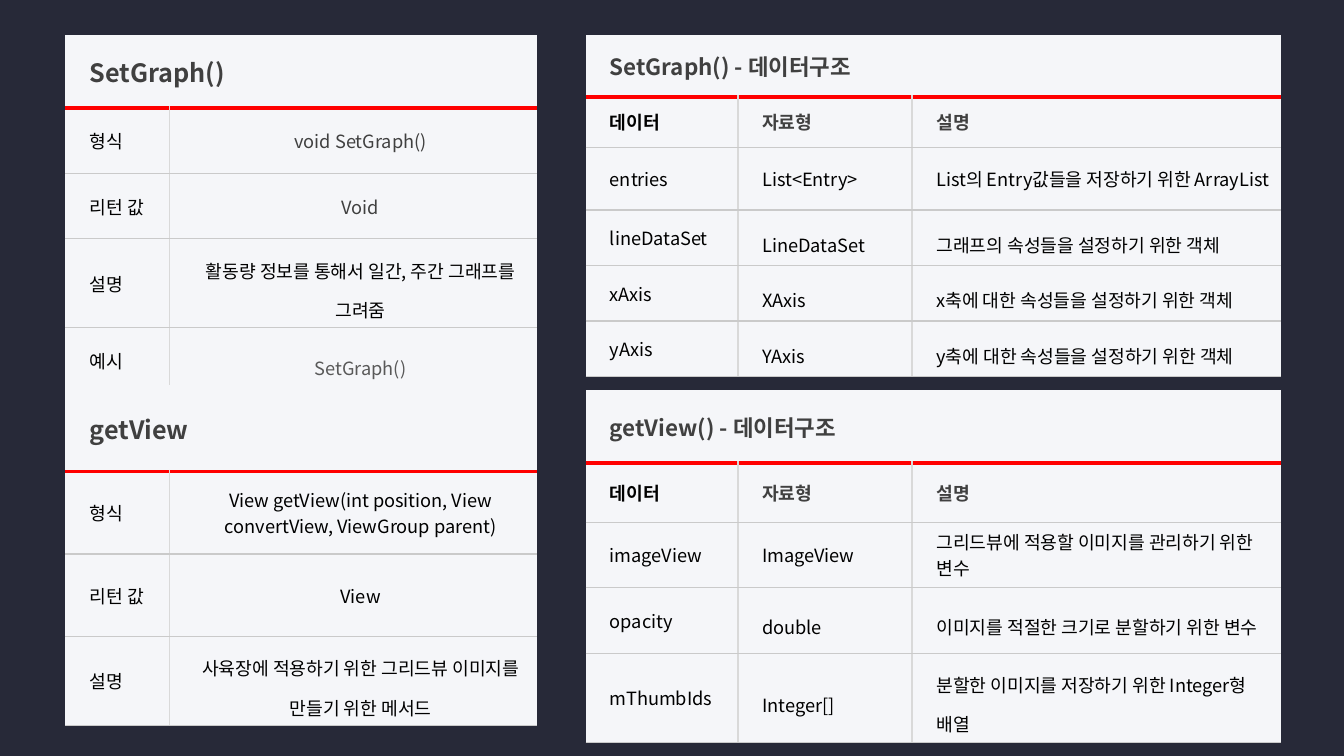
from pptx import Presentation
from pptx.dml.color import RGBColor
from pptx.enum.text import MSO_ANCHOR, PP_ALIGN
from pptx.oxml.ns import qn
from pptx.util import Cm, Pt
from lxml.etree import SubElement

FONT = "Noto Sans CJK KR"
NAVY, PAPER, RED = "272938", "F5F6F9", "FF0000"
BLACK, DARK, GREY = "000000", "404040", "595959"
ROW_LINE, COLUMN_LINE, HEADER_LINE = ("CACACA", 1), ("D9D9D9", 1.5), (RED, 3)


def color(value):
    return RGBColor.from_string(value)


def add_border(cell, side, line):
    properties = cell._tc.get_or_add_tcPr()
    border = SubElement(properties, qn(f"a:ln{side}"))
    if line is None:
        border.set("w", "0")
        SubElement(border, qn("a:noFill"))
        return
    value, width = line
    border.set("w", str(Pt(width)))
    fill = SubElement(border, qn("a:solidFill"))
    SubElement(fill, qn("a:srgbClr")).set("val", value)


# Contents: position, column widths, row heights, title size, rows,
# and the first row whose description is set at 1.5 lines
method_columns = [2.62, 9.27]
data_columns = [3.84, 4.39, 9.3]
data_heading = ["데이터", "자료형", "설명"]
tables = [
    (1.65, 0.89, method_columns, [1.83] + [1.65] * 4, 18, [
        ["SetGraph()"],
        ["형식", "void SetGraph()"],
        ["리턴 값", "Void"],
        ["설명", "활동량 정보를 통해서 일간, 주간 그래프를 그려줌"],
        ["예시", "SetGraph()"],
    ], 3),
    (14.76, 0.89, data_columns, [1.55, 1.27] + [1.4] * 4, 16, [
        ["SetGraph() - 데이터구조"],
        data_heading,
        ["entries", "List<Entry>", "List의 Entry값들을 저장하기 위한 ArrayList"],
        ["lineDataSet", "LineDataSet", "그래프의 속성들을 설정하기 위한 객체"],
        ["xAxis", "XAxis", "x축에 대한 속성들을 설정하기 위한 객체"],
        ["yAxis", "YAxis", "y축에 대한 속성들을 설정하기 위한 객체"],
    ], 3),
    (1.65, 9.7, method_columns, [2.18] + [2.08] * 3, 18, [
        ["getView"],
        ["형식", "View getView(int position, View convertView, ViewGroup parent)"],
        ["리턴 값", "View"],
        ["설명", "사육장에 적용하기 위한 그리드뷰 이미지를\n만들기 위한 메서드"],
    ], 3),
    (14.76, 9.83, data_columns, [1.83, 1.5] + [1.65] * 3, 16, [
        ["getView() - 데이터구조"],
        data_heading,
        ["imageView", "ImageView", "그리드뷰에 적용할 이미지를 관리하기 위한 변수"],
        ["opacity", "double", "이미지를 적절한 크기로 분할하기 위한 변수"],
        ["mThumbIds", "Integer[]", "분할한 이미지를 저장하기 위한 Integer형 배열"],
    ], 3),
]
text_colors = {"void SetGraph()": DARK, "Void": DARK, "SetGraph()": GREY,
               "자료형": DARK}

# Page
deck = Presentation()
deck.slide_width, deck.slide_height = Cm(33.87), Cm(19.05)
page = deck.slides.add_slide(deck.slide_layouts[6])
page.background.fill.solid()
page.background.fill.fore_color.rgb = color(NAVY)

# Tables
for left, top, widths, heights, title_size, rows, loose_from in tables:
    table = page.shapes.add_table(
        len(rows), len(widths), Cm(left), Cm(top),
        Cm(sum(widths)), Cm(sum(heights))).table
    table.first_row = table.horz_banding = False
    for column, width in zip(table.columns, widths):
        column.width = Cm(width)
    for row, height in zip(table.rows, heights):
        row.height = Cm(height)
    table.cell(0, 0).merge(table.cell(0, len(widths) - 1))
    is_method = widths is method_columns

    for r, texts in enumerate(rows):
        is_title = r == 0
        is_heading = texts is data_heading
        for c in range(len(widths)):
            cell = table.cell(r, c)

            # Borders and fill
            inner_left = c > 0 and not is_title
            inner_right = c < len(widths) - 1 and not is_title
            add_border(cell, "L", COLUMN_LINE if inner_left else None)
            add_border(cell, "R", COLUMN_LINE if inner_right else None)
            above = HEADER_LINE if r == 1 else ROW_LINE
            add_border(cell, "T", None if is_title else above)
            add_border(cell, "B", HEADER_LINE if is_title else ROW_LINE)
            cell.fill.solid()
            cell.fill.fore_color.rgb = color(PAPER)
            cell.vertical_anchor = MSO_ANCHOR.MIDDLE
            cell.margin_left, cell.margin_right = Cm(0.61), Cm(0.25)
            cell.margin_top = cell.margin_bottom = Cm(0.13)
            if c >= len(texts):
                continue

            # Text
            cell.text_frame.text = texts[c]
            for para in cell.text_frame.paragraphs:
                if c > 0 and is_method:
                    para.alignment = PP_ALIGN.CENTER
                if c > 0 and r >= loose_from:
                    para.line_spacing = 1.5
                font = para.font
                font.name = FONT
                font.size = Pt(title_size if is_title else 13)
                font.bold = is_title or is_heading
                ink = text_colors.get(texts[c], BLACK)
                if is_title or (is_heading and c > 0):
                    ink = DARK
                font.color.rgb = color(ink)
                SubElement(font._element, qn("a:ea")).set("typeface", FONT)

deck.save("out.pptx")
